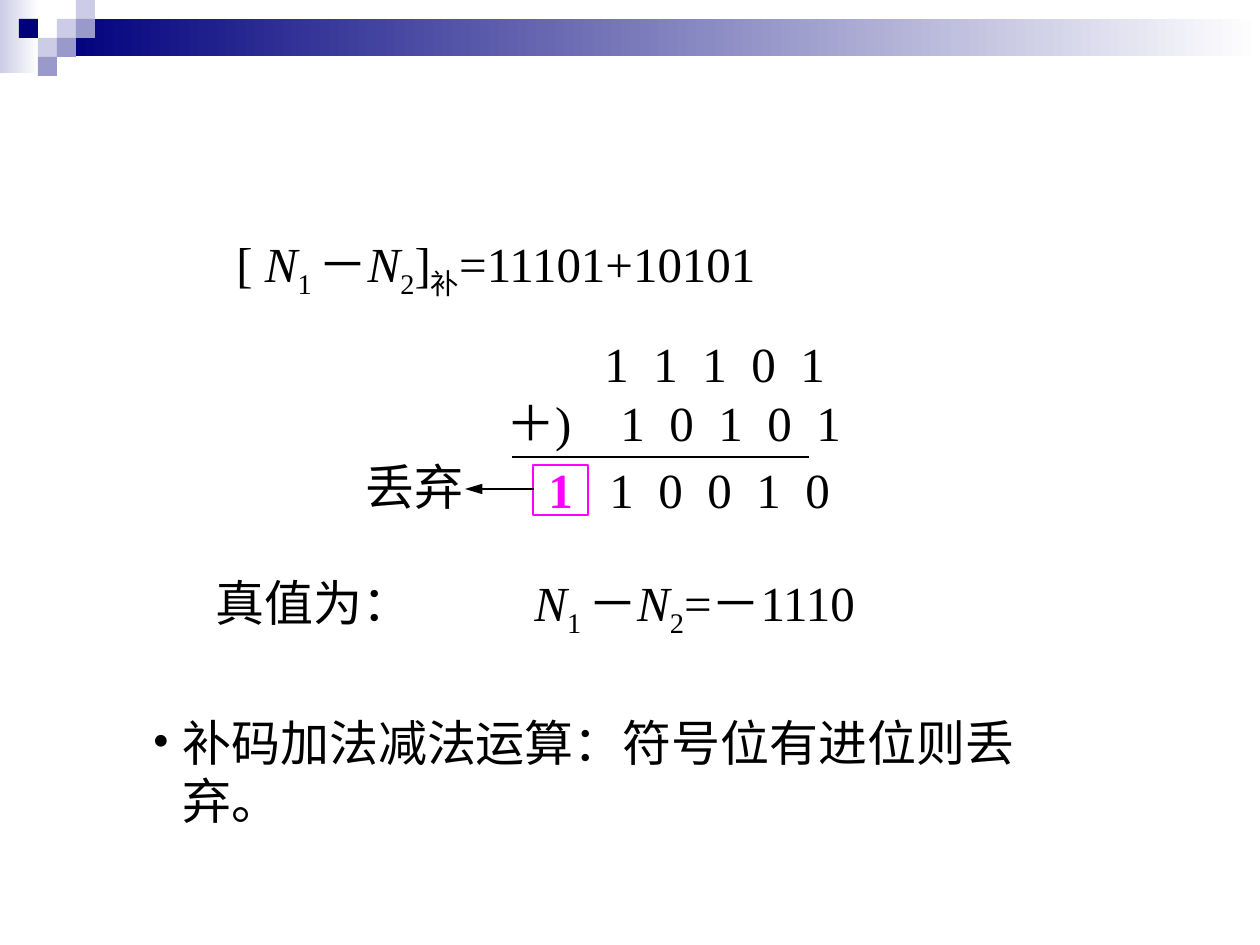
from lxml import etree
from pptx import Presentation
from pptx.dml.color import RGBColor
from pptx.enum.lang import MSO_LANGUAGE_ID
from pptx.enum.shapes import MSO_CONNECTOR, MSO_SHAPE
from pptx.oxml.ns import qn
from pptx.util import Emu, Pt

RECTANGLE = MSO_SHAPE.RECTANGLE
STRAIGHT = MSO_CONNECTOR.STRAIGHT
CHINESE = MSO_LANGUAGE_ID.SIMPLIFIED_CHINESE

EMU_PER_PX = 914400 / 126
BLANK_LAYOUT = 6
SQUARE = 19
DIGIT_PITCH = 49

BLACK, WHITE, MAGENTA = "000000", "FFFFFF", "FF00FF"
NAVY, LAVENDER, VIOLET = "00007D", "CCCCE6", "9999CC"

FONT = "Times New Roman"
BODY = {"name": FONT, "size": Pt(28), "language_id": CHINESE}
PLAIN = {}
ITALIC = {"italic": True}
BOLD = {"bold": True}
SUBSCRIPT = "-25000"


def px(length):
    return Emu(round(length * EMU_PER_PX))


def rgb(value):
    return RGBColor.from_string(value)


def add_box(slide, bounds, fill=None, border=None):
    box = slide.shapes.add_shape(RECTANGLE, *map(px, bounds))
    box.shadow.inherit = False
    if fill:
        box.fill.solid()
        box.fill.fore_color.rgb = rgb(fill)
    else:
        box.fill.background()
    if border:
        box.line.color.rgb = rgb(border)
        box.line.width = Pt(0.75)
    else:
        box.line.fill.background()
    return box


def add_gradient_band(slide, bounds, start, end):
    band = add_box(slide, bounds, start)
    band.fill.gradient()
    band.fill.gradient_angle = 0
    for stop, color in zip(band.fill.gradient_stops, (start, end)):
        stop.color.rgb = rgb(color)


def add_line(slide, start, end, width, arrow=False):
    line = slide.shapes.add_connector(STRAIGHT, *map(px, start + end))
    line.line.color.rgb = rgb(BLACK)
    line.line.width = Pt(width)
    if arrow:
        etree.SubElement(line.line._get_or_add_ln(), qn("a:tailEnd"),
                         type="triangle", w="med", len="lg")
    etree.SubElement(line._element.spPr, qn("a:effectLst"))


def set_tabs(paragraph, stops):
    tab_list = etree.SubElement(paragraph._p.get_or_add_pPr(), qn("a:tabLst"))
    for stop in stops:
        etree.SubElement(tab_list, qn("a:tab"), pos=str(px(stop)), algn="l")


def set_bullet(paragraph, indent):
    properties = paragraph._p.get_or_add_pPr()
    properties.set("marL", str(px(indent)))
    properties.set("indent", str(-px(indent)))
    etree.SubElement(properties, qn("a:buFont"), typeface=FONT)
    etree.SubElement(properties, qn("a:buChar"), char="•")


def add_run(paragraph, text, style=PLAIN, color=BLACK, baseline=None):
    run = paragraph.add_run()
    run.text = text
    for attribute, value in {**BODY, **style}.items():
        setattr(run.font, attribute, value)
    run.font.color.rgb = rgb(color)
    if baseline:
        run._r.get_or_add_rPr().set("baseline", baseline)


def add_text(slide, bounds):
    frame = slide.shapes.add_textbox(*map(px, bounds)).text_frame
    frame.word_wrap = True
    return frame


def add_difference(paragraph):
    add_run(paragraph, "N", ITALIC)
    add_run(paragraph, "1 ", baseline=SUBSCRIPT)
    add_run(paragraph, "－")
    add_run(paragraph, "N", ITALIC)
    add_run(paragraph, "2", baseline=SUBSCRIPT)


def add_digits(paragraph, digits, first_stop):
    set_tabs(paragraph, [first_stop + DIGIT_PITCH * i for i in range(len(digits))])
    add_run(paragraph, "".join("\t" + digit for digit in digits))


def add_header(slide):
    add_gradient_band(slide, (0, 0, 39, 73), LAVENDER, WHITE)
    add_gradient_band(slide, (57, 19, 1203, 37), NAVY, WHITE)
    mosaic = ((3, 1, LAVENDER), (4, 0, LAVENDER), (4, 1, VIOLET), (2, 2, LAVENDER),
              (1, 1, NAVY), (3, 2, VIOLET), (2, 3, VIOLET))
    for column, row, color in mosaic:
        add_box(slide, (SQUARE * column, SQUARE * row, SQUARE, SQUARE), color)


def add_formula(slide):
    formula = add_text(slide, (224, 227, 620, 79)).paragraphs[0]
    add_run(formula, "[ ")
    add_difference(formula)
    add_run(formula, "]")
    add_run(formula, "补", baseline=SUBSCRIPT)
    add_run(formula, "=11101+10101")


def add_addition(slide):
    operands = add_text(slide, (494, 327, 390, 131))
    add_digits(operands.paragraphs[0], "11101", 98)
    addend = operands.add_paragraph()
    add_run(addend, "＋)")
    add_digits(addend, "10101", 114)
    add_line(slide, (512, 457), (809, 457), 0.75)

    total = add_text(slide, (536, 453, 330, 72)).paragraphs[0]
    add_run(total, "1", BOLD, MAGENTA)
    add_digits(total, "10010", 61)
    add_box(slide, (533, 465, 55, 50), border=MAGENTA)

    discard = add_text(slide, (353, 450, 130, 72)).paragraphs[0]
    add_run(discard, "丢弃")
    add_line(slide, (534, 489), (465, 489), 1.5, arrow=True)


def add_true_value(slide):
    true_value = add_text(slide, (203, 566, 714, 79)).paragraphs[0]
    set_tabs(true_value, [319])
    add_run(true_value, "真值为：\t")
    add_difference(true_value)
    add_run(true_value, "=－1110")


def add_rule(slide):
    rule = add_text(slide, (140, 706, 925, 130)).paragraphs[0]
    set_bullet(rule, 30)
    add_run(rule, "补码加法减法运算：符号位有进位则丢弃。")


def main():
    presentation = Presentation()
    presentation.slide_width = px(1260)
    presentation.slide_height = px(945)
    slide = presentation.slides.add_slide(presentation.slide_layouts[BLANK_LAYOUT])
    add_header(slide)
    add_formula(slide)
    add_addition(slide)
    add_true_value(slide)
    add_rule(slide)
    presentation.save("out.pptx")


if __name__ == "__main__":
    main()
